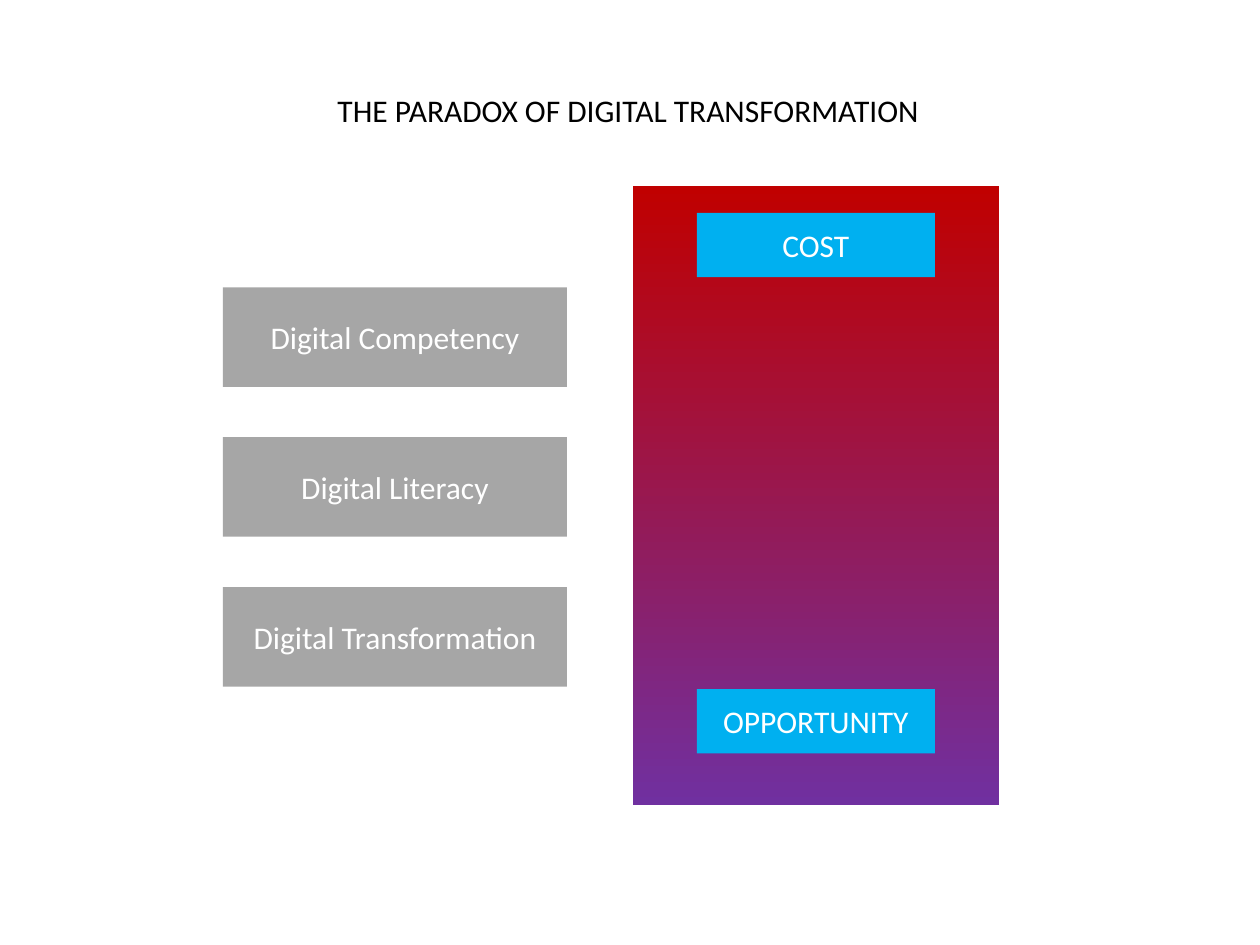
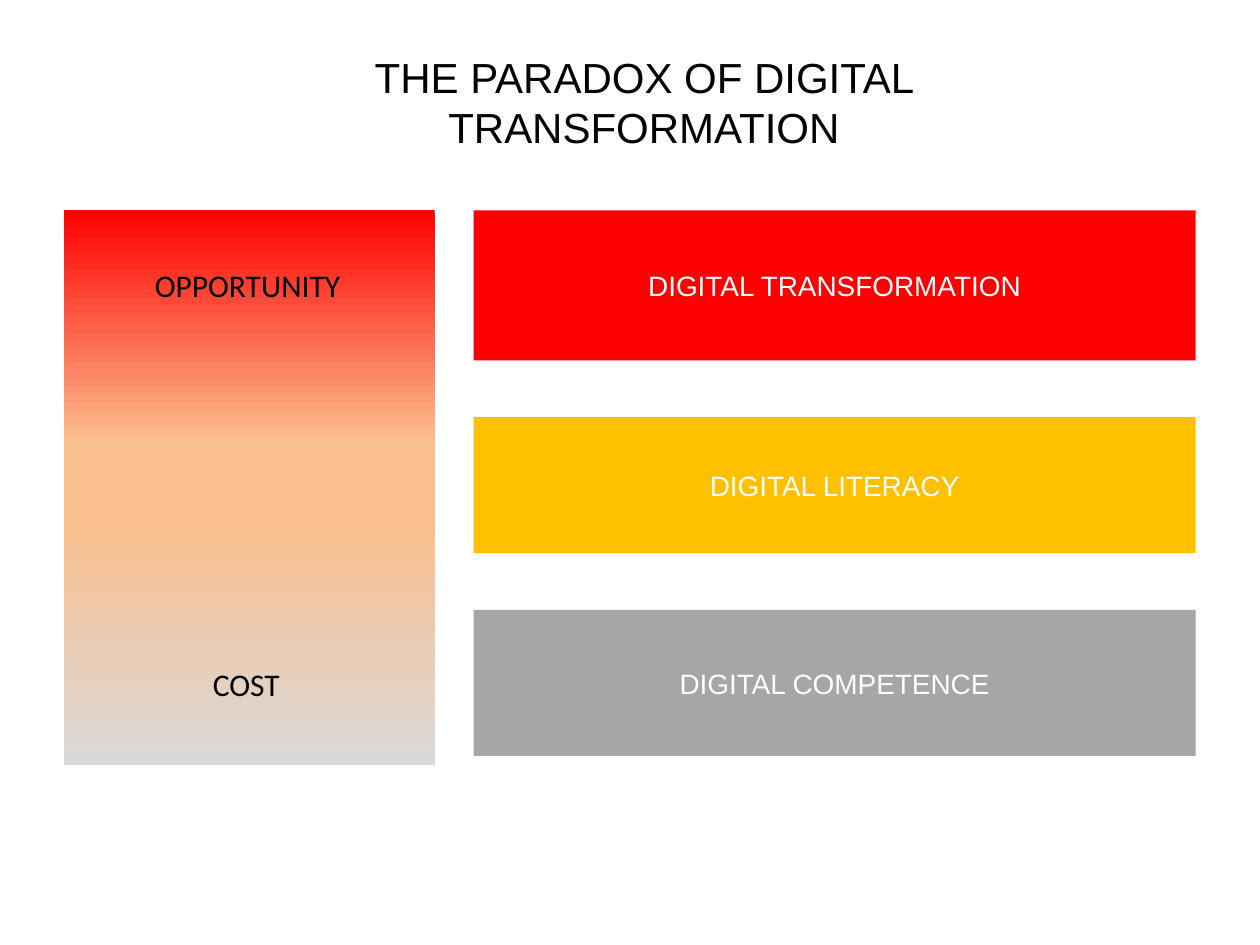
from lxml import etree
from pptx import Presentation
from pptx.dml.color import RGBColor
from pptx.enum import shapes, text
from pptx.oxml.ns import qn
from pptx.util import Inches, Pt

BLACK = RGBColor(0x00, 0x00, 0x00)
WHITE = RGBColor(0xFF, 0xFF, 0xFF)
GREY = RGBColor(0xA6, 0xA6, 0xA6)
LIGHT_GREY = RGBColor(0xD9, 0xD9, 0xD9)
BLUE = RGBColor(0x00, 0xB0, 0xF0)
PURPLE = RGBColor(0x70, 0x30, 0xA0)
DARK_RED = RGBColor(0xC0, 0x00, 0x00)
RED = RGBColor(0xFF, 0x00, 0x00)
PEACH = RGBColor(0xFA, 0xC0, 0x90)
AMBER = RGBColor(0xFF, 0xC0, 0x00)

TITLE = "THE PARADOX OF DIGITAL TRANSFORMATION"
CENTER = text.PP_ALIGN.CENTER
LEFT = text.PP_ALIGN.LEFT


class Board:
    """Draws on the current slide; boxes are (left, top, width, height) in inches."""

    def __init__(self, deck):
        self.deck = deck
        self.slide = None

    def new_slide(self):
        self.slide = self.deck.slides.add_slide(self.deck.slide_layouts[6])

    def set_words(self, shape, words, size, font, color, align):
        shape.text_frame.word_wrap = True
        para = shape.text_frame.paragraphs[0]
        para.alignment = align
        span = para.add_run()
        span.text = words
        for name, value in {"size": Pt(size), "name": font}.items():
            setattr(span.font, name, value)
        span.font.color.rgb = color

    def rectangle(self, box):
        shape = self.slide.shapes.add_shape(
            shapes.MSO_SHAPE.RECTANGLE, *map(Inches, box))
        shape.shadow.inherit = False
        shape.line.fill.background()
        return shape

    def bar(self, box, words, fill, size=18, font="Calibri"):
        shape = self.rectangle(box)
        shape.fill.solid()
        shape.fill.fore_color.rgb = fill
        shape.text_frame.vertical_anchor = text.MSO_ANCHOR.MIDDLE
        self.set_words(shape, words, size, font, WHITE, CENTER)

    def gradient_panel(self, box, stops):
        """Fill downwards through stops given as (percent, colour)."""
        shape = self.rectangle(box)
        shape.fill.gradient()
        shape.fill.gradient_angle = 270
        stop_list = shape._element.spPr.find(".//" + qn("a:gsLst"))
        for old_stop in list(stop_list):
            stop_list.remove(old_stop)
        for percent, color in stops:
            stop = etree.SubElement(stop_list, qn("a:gs"), pos=str(percent * 1000))
            etree.SubElement(stop, qn("a:srgbClr"), val=str(color))

    def label(self, box, words, size=18, font="Calibri", align=LEFT):
        shape = self.slide.shapes.add_textbox(*map(Inches, box))
        self.set_words(shape, words, size, font, BLACK, align)


def draw_cost_first(board):
    board.new_slide()
    stages = ["Digital Competency", "Digital Literacy", "Digital Transformation"]
    height, gap = 0.79, 0.4
    for row, stage in enumerate(stages):
        board.bar((1.77, 2.28 + row * (height + gap), 2.73, height), stage, GREY)
    board.gradient_panel((5.02, 1.48, 2.91, 4.91), [(0, DARK_RED), (100, PURPLE)])
    for top, words in [(1.69, "COST"), (5.47, "OPPORTUNITY")]:
        board.bar((5.53, top, 1.89, 0.51), words, BLUE)
    board.label((2.58, 0.67, 4.84, 0.4), TITLE)


def draw_opportunity_first(board):
    board.new_slide()
    board.gradient_panel((0.51, 1.67, 2.94, 4.4),
                         [(0, RED), (42, PEACH), (57, PEACH), (100, LIGHT_GREY)])
    stages = [("DIGITAL TRANSFORMATION", RED, 1.19),
              ("DIGITAL LITERACY", AMBER, 1.08),
              ("DIGITAL COMPETENCE", GREY, 1.16)]
    top, gap = 1.67, 0.45
    for stage, color, height in stages:
        board.bar((3.76, top, 5.73, height), stage, color, 16, "Arial")
        top += height + gap
    board.label((2.67, 0.36, 4.88, 0.91), TITLE, 24, "Arial", CENTER)
    for left, label_top, words in [(1.13, 2.06, "OPPORTUNITY"), (1.59, 5.23, "COST")]:
        board.label((left, label_top, 2.01, 0.4), words)


def main():
    deck = Presentation()
    deck.slide_width, deck.slide_height = Inches(10), Inches(7.5)
    board = Board(deck)
    draw_cost_first(board)
    draw_opportunity_first(board)
    deck.save("out.pptx")


if __name__ == "__main__":
    main()
